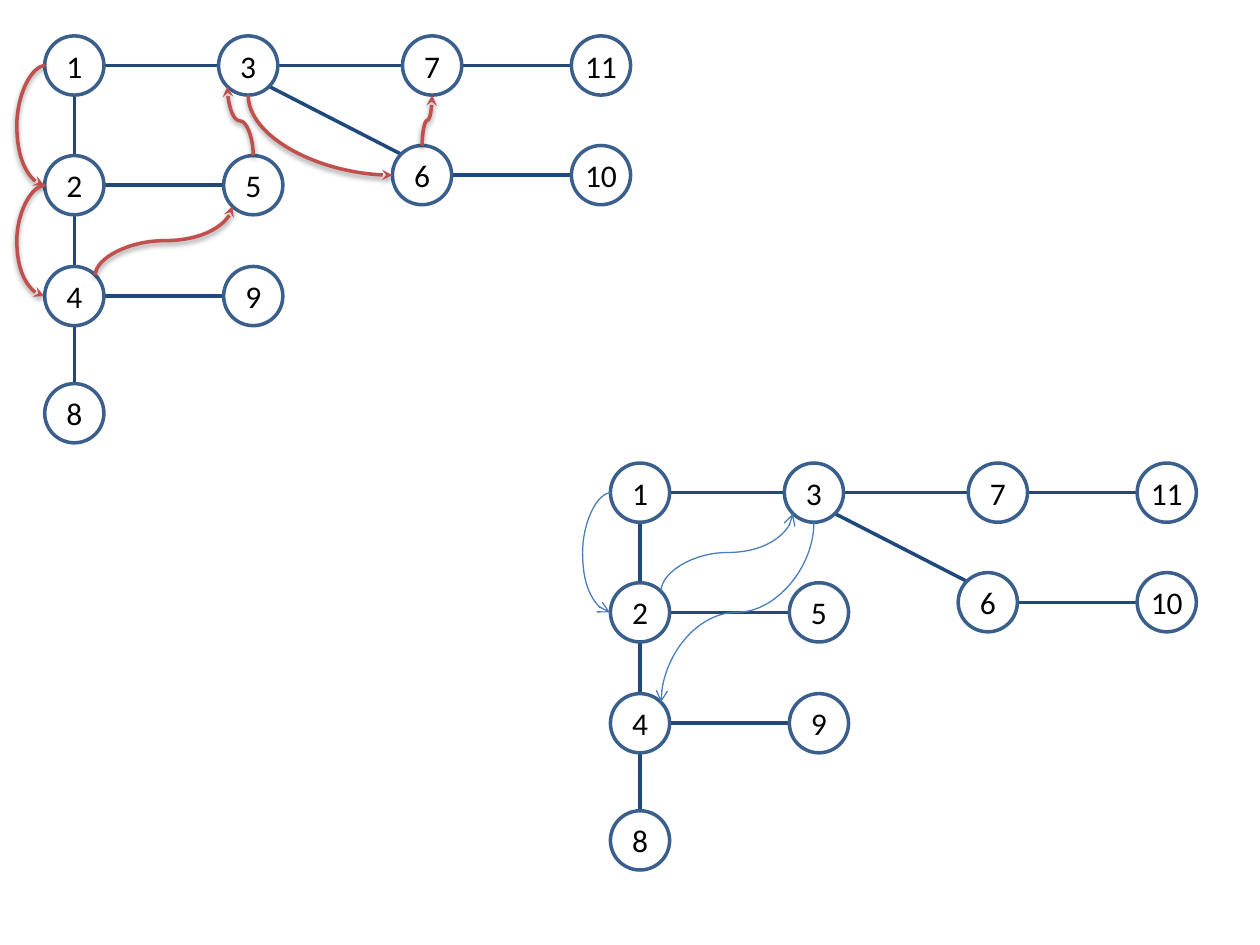
from dataclasses import dataclass
from math import sqrt

from pptx import Presentation
from pptx.dml.color import RGBColor
from pptx.enum.shapes import MSO_CONNECTOR, MSO_SHAPE
from pptx.enum.text import MSO_ANCHOR, PP_ALIGN
from pptx.oxml.ns import qn
from pptx.oxml.xmlchemy import OxmlElement
from pptx.util import Inches, Pt

ELLIPSE = MSO_SHAPE.OVAL
STRAIGHT, CURVE = MSO_CONNECTOR.STRAIGHT, MSO_CONNECTOR.CURVE
CENTER, MIDDLE = PP_ALIGN.CENTER, MSO_ANCHOR.MIDDLE


@dataclass(frozen=True)
class Theme:
    """Colours, type and line widths of the slide."""
    font: str = "Calibri"
    text_size: int = 18
    text: str = "000000"
    node_line: str = "3A5F8C"
    edge: str = "1F497D"
    strong_route: str = "C0504D"
    light_route: str = "4B7EBC"
    shadow: str = "000000"
    line_width: float = 2
    light_width: float = 0.75


THEME = Theme()
DIAMETER = 0.47
BULGE = 0.23
THINNEST = 0.01

# Node centres, relative to the first tree
NODES = {
    "1": (0.59, 0.52), "3": (1.97, 0.52), "7": (3.43, 0.52), "11": (4.77, 0.52),
    "2": (0.59, 1.47), "5": (2.01, 1.47), "6": (3.35, 1.39), "10": (4.77, 1.39),
    "4": (0.59, 2.35), "9": (2.01, 2.35), "8": (0.59, 3.28),
}
DIAGONAL = 1 / sqrt(2)
SIDES = {
    "left": (-1, 0), "right": (1, 0), "top": (0, -1), "bottom": (0, 1),
    "upper right": (DIAGONAL, -DIAGONAL), "lower left": (-DIAGONAL, DIAGONAL),
    "lower right": (DIAGONAL, DIAGONAL), "upper left": (-DIAGONAL, -DIAGONAL),
}
OPPOSITE = {"left": "right", "top": "bottom", "upper left": "lower right"}
# Child, its side facing the parent, parent
EDGES = [
    ("4", "top", "2"), ("2", "top", "1"), ("3", "left", "1"),
    ("5", "left", "2"), ("6", "upper left", "3"), ("7", "left", "3"),
    ("11", "left", "7"), ("10", "left", "6"), ("8", "top", "4"),
    ("9", "left", "4"),
]
# Start node and side, end node and side
STRONG_ROUTES = [
    ("1", "left", "2", "left"), ("2", "left", "4", "left"),
    ("4", "upper right", "5", "lower left"), ("5", "top", "3", "lower left"),
    ("3", "bottom", "6", "left"), ("6", "top", "7", "bottom"),
]
LIGHT_ROUTES = [
    ("1", "left", "2", "left"), ("2", "upper right", "3", "lower left"),
    ("3", "bottom", "4", "upper right"),
]
FIRST_TREE, SECOND_TREE = (0, 0), (4.49, 3.39)


def add_child(parent, tag, **attributes):
    """Append an XML element with attributes and return it."""
    child = OxmlElement(tag)
    for name, value in attributes.items():
        child.set(name, str(value))
    parent.append(child)
    return child


def anchor(node, side, origin):
    """Return the point on a node's rim at the given side."""
    return tuple(start + centre + unit * DIAMETER / 2
                 for start, centre, unit in zip(origin, NODES[node], SIDES[side]))


def style_line(line, color, width):
    """Set a line's colour and width."""
    line.color.rgb = RGBColor.from_string(color)
    line.width = Pt(width)


def add_node(shapes, label, origin):
    """Add one numbered circle."""
    left, top = (start + centre - DIAMETER / 2
                 for start, centre in zip(origin, NODES[label]))
    node = shapes.add_shape(ELLIPSE, Inches(left), Inches(top),
                            Inches(DIAMETER), Inches(DIAMETER))
    node.shadow.inherit = False
    node.fill.background()
    style_line(node.line, THEME.node_line, THEME.line_width)
    frame = node.text_frame
    frame.margin_left = frame.margin_right = 0
    frame.margin_top = frame.margin_bottom = 0
    frame.vertical_anchor = MIDDLE
    frame.word_wrap = False
    para = frame.paragraphs[0]
    para.alignment = CENTER
    span = para.add_run()
    span.text = label
    span.font.name = THEME.font
    span.font.size = Pt(THEME.text_size)
    span.font.color.rgb = RGBColor.from_string(THEME.text)


def add_edge(shapes, child, side, parent, origin):
    """Add the straight line from a child node to its parent."""
    start = anchor(child, side, origin)
    end = anchor(parent, OPPOSITE[side], origin)
    edge = shapes.add_connector(STRAIGHT, *map(Inches, start + end))
    style_line(edge.line, THEME.edge, THEME.line_width)
    add_child(edge._element.spPr, "a:effectLst")


def add_tree(slide, origin):
    """Add a grouped tree of nodes and edges."""
    shapes = slide.shapes.add_group_shape().shapes
    for edge in EDGES:
        add_edge(shapes, *edge, origin)
    for label in NODES:
        add_node(shapes, label, origin)


def add_shadow(effects):
    """Add a soft shadow below a line."""
    shadow = add_child(effects, "a:outerShdw", blurRad=Pt(3.1), dist=Pt(1.6),
                       dir=90 * 60000, rotWithShape=0)
    color = add_child(shadow, "a:srgbClr", val=THEME.shadow)
    add_child(color, "a:alpha", val=38000)


def add_route(slide, route, origin, color, width, head, shadowed):
    """Add a curved arrow, turned so that it leaves along its start side."""
    first, first_side, last, last_side = route
    (x1, y1), (x2, y2) = anchor(first, first_side, origin), anchor(last, last_side, origin)
    across, down = x2 - x1, y2 - y1
    if first_side == "left":
        turn, flip = 180, down > 0
        length, depth = max(abs(across), THINNEST), abs(down)
    else:
        turn = 90 if down > 0 else 270
        flip = (across > 0) == (down > 0)
        length, depth = abs(down), abs(across)
    curve = slide.shapes.add_connector(CURVE, 0, 0, 0, 0)
    curve.left = Inches((x1 + x2 - length) / 2)
    curve.top = Inches((y1 + y2 - depth) / 2)
    curve.width, curve.height = Inches(length), Inches(depth)
    properties = curve._element.spPr
    frame = properties.find(qn("a:xfrm"))
    frame.set("rot", str(turn * 60000))
    if flip:
        frame.set("flipV", "1")
    geometry = properties.find(qn("a:prstGeom"))
    if first_side == last_side:
        guides = geometry.find(qn("a:avLst"))
        if guides is None:
            guides = add_child(geometry, "a:avLst")
        share = round(BULGE / length * 100000)
        add_child(guides, "a:gd", name="adj1", fmla=f"val {share}")
    elif (first_side, last_side) == ("bottom", "left"):
        geometry.set("prst", "curvedConnector2")
    style_line(curve.line, color, width)
    add_child(properties.find(qn("a:ln")), "a:tailEnd", type=head)
    effects = add_child(properties, "a:effectLst")
    if shadowed:
        add_shadow(effects)


def main():
    """Build the slide with two trees and their visiting orders."""
    deck = Presentation()
    deck.slide_width, deck.slide_height = Inches(10), Inches(7.5)
    page = deck.slides.add_slide(deck.slide_layouts[6])
    for origin in (FIRST_TREE, SECOND_TREE):
        add_tree(page, origin)
    for route in STRONG_ROUTES:
        add_route(page, route, FIRST_TREE, THEME.strong_route,
                  THEME.line_width, "stealth", True)
    for route in LIGHT_ROUTES:
        add_route(page, route, SECOND_TREE, THEME.light_route,
                  THEME.light_width, "arrow", False)
    deck.save("out.pptx")


main()
